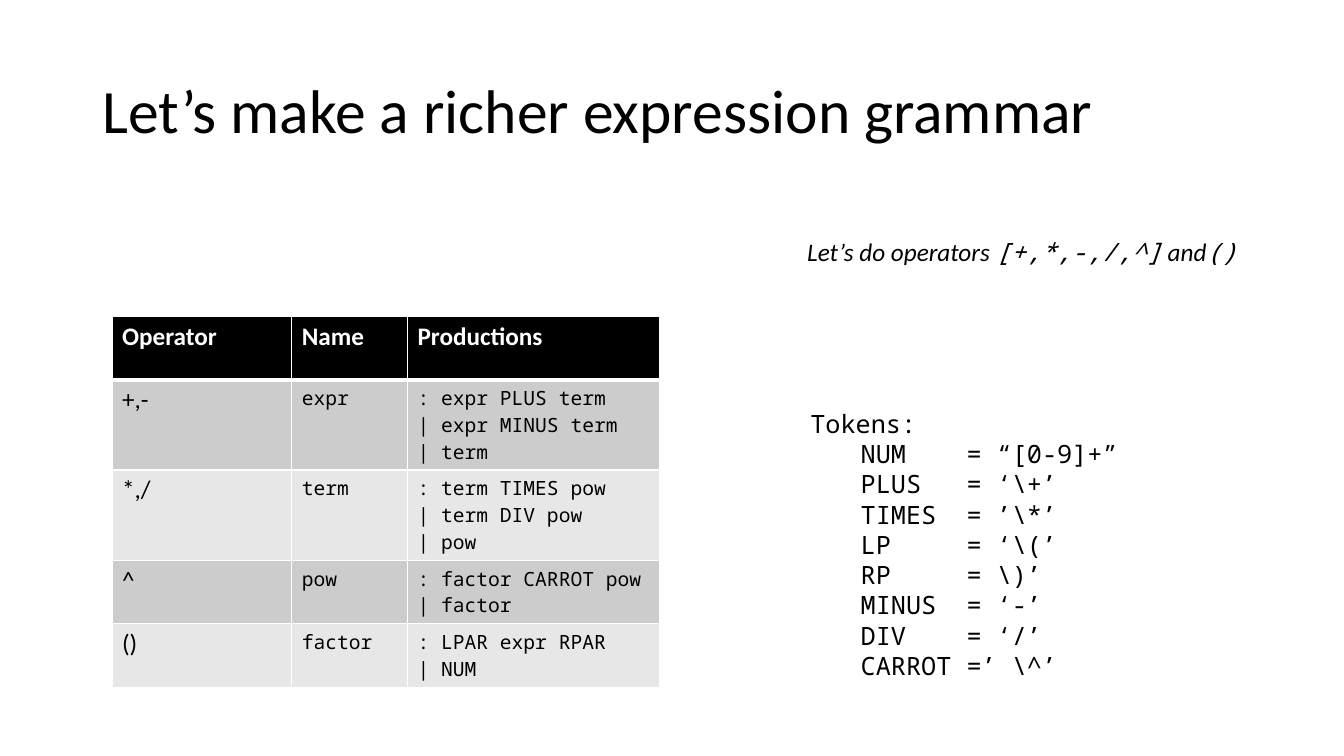
from copy import deepcopy

from lxml import etree
from pptx import Presentation
from pptx import util as u
from pptx.dml import color
from pptx.enum import text
from pptx.oxml import ns

Pt = u.Pt
SANS, MONO = "Calibri", "Noto Sans Mono"
BLACK, WHITE = "000000", "FFFFFF"
HEADINGS = ["Operator", "Name", "Productions"]
GRAMMAR = [
    ("+,-", "expr", [": expr PLUS term", "| expr MINUS term\n| term"]),
    ("*,/", "term", [": term TIMES pow", "| term DIV pow\n| pow"]),
    ("^", "pow", [": factor CARROT pow", "| factor"]),
    ("()", "factor", [": LPAR expr RPAR\n| NUM"]),
]
TOKENS = [
    [("NUM", " “[0-9]+”")],
    [("PLUS", " ‘\\+’")],
    [("TIMES", " ’\\*’")],
    [("LP", " ‘\\(’")],
    [("RP", " \\)’"), ("MINUS", " ‘-’")],
    [("DIV", " ‘/’")],
    [("CARROT", "’ \\^’")],
]


def rgb(code):
    return color.RGBColor.from_string(code)


def add_run(paragraph, words, font, size, ink=BLACK, bold=False, italic=False):
    for number, line in enumerate(words.split("\n")):
        if number:
            paragraph.add_line_break()
        run = paragraph.add_run()
        run.text = line
        run.font.name, run.font.size = font, Pt(size)
        run.font.bold, run.font.italic = bold, italic
        run.font.color.rgb = rgb(ink)
        if number:
            line_break = run._r.getprevious()
            line_break.append(deepcopy(run._r.rPr))


def add_box(slide, left, top, width, height, wrap=True):
    frame = slide.shapes.add_textbox(Pt(left), Pt(top), Pt(width), Pt(height)).text_frame
    frame.word_wrap = wrap
    frame.auto_size = text.MSO_AUTO_SIZE.SHAPE_TO_FIT_TEXT
    return frame


def add_title(slide, words):
    title = add_box(slide, 66, 28.8, 828, 104.4)
    title.auto_size = text.MSO_AUTO_SIZE.NONE
    title.vertical_anchor = text.MSO_ANCHOR.MIDDLE
    title.paragraphs[0].line_spacing = 0.9
    add_run(title.paragraphs[0], words, SANS, 44)


def set_borders(cell, top, bottom):
    properties = cell._tc.get_or_add_tcPr()
    widths = {"a:lnL": 1, "a:lnR": 1, "a:lnT": top, "a:lnB": bottom}
    for place, (side, width) in enumerate(widths.items()):
        border = etree.Element(ns.qn(side), w=str(Pt(width)))
        fill = etree.SubElement(border, ns.qn("a:solidFill"))
        etree.SubElement(fill, ns.qn("a:srgbClr"), val=WHITE)
        properties.insert(place, border)


def fill_cell(cell, shade, paragraphs, font, size, ink=BLACK, bold=False):
    cell.fill.solid()
    cell.fill.fore_color.rgb = rgb(shade)
    frame = cell.text_frame
    for number, words in enumerate(paragraphs):
        paragraph = frame.add_paragraph() if number else frame.paragraphs[0]
        add_run(paragraph, words, font, size, ink, bold)


def add_grammar(slide):
    rows = len(GRAMMAR) + 1
    grammar = slide.shapes.add_table(
        rows, len(HEADINGS), Pt(80), Pt(226.2), Pt(391.4), Pt(45 * rows)).table
    for column, width in zip(grammar.columns, (128.4, 82.7, 180.3)):
        column.width = Pt(width)
    for column, heading in enumerate(HEADINGS):
        cell = grammar.cell(0, column)
        set_borders(cell, 1, 3)
        fill_cell(cell, BLACK, [heading], SANS, 18, WHITE, True)
    for row, (operator, name, productions) in enumerate(GRAMMAR, 1):
        shade = "CCCCCC" if row % 2 else "E7E7E7"
        contents = [([operator], SANS, 18), ([name], MONO, 14), (productions, MONO, 14)]
        for column, content in enumerate(contents):
            cell = grammar.cell(row, column)
            set_borders(cell, 3 if row == 1 else 1, 1)
            fill_cell(cell, shade, *content)


def add_tokens(slide):
    tokens = add_box(slide, 571.7, 288, 339.8, 225.4)
    add_run(tokens.paragraphs[0], "Tokens:", MONO, 18)
    for group in TOKENS:
        paragraph = tokens.add_paragraph()
        paragraph.level = 1
        indent = paragraph._p.get_or_add_pPr()
        indent.set("marL", str(Pt(36)))
        indent.set("indent", "0")
        lines = [f"{name:<7}={pattern}" for name, pattern in group]
        add_run(paragraph, "\n".join(lines), MONO, 18)


def add_operators(slide):
    operators = add_box(slide, 569.5, 165.6, 334.8, 28.8, wrap=False)
    for words, font in [("Let’s do operators ", SANS), ("[+,*,-,/,^]", MONO),
                        (" and", SANS), ("()", MONO)]:
        add_run(operators.paragraphs[0], words, font, 18, italic=True)


def main():
    deck = Presentation()
    deck.slide_width, deck.slide_height = Pt(960), Pt(540)
    slide = deck.slides.add_slide(deck.slide_layouts[6])
    add_title(slide, "Let’s make a richer expression grammar")
    add_grammar(slide)
    add_tokens(slide)
    add_operators(slide)
    deck.save("out.pptx")


if __name__ == "__main__":
    main()
